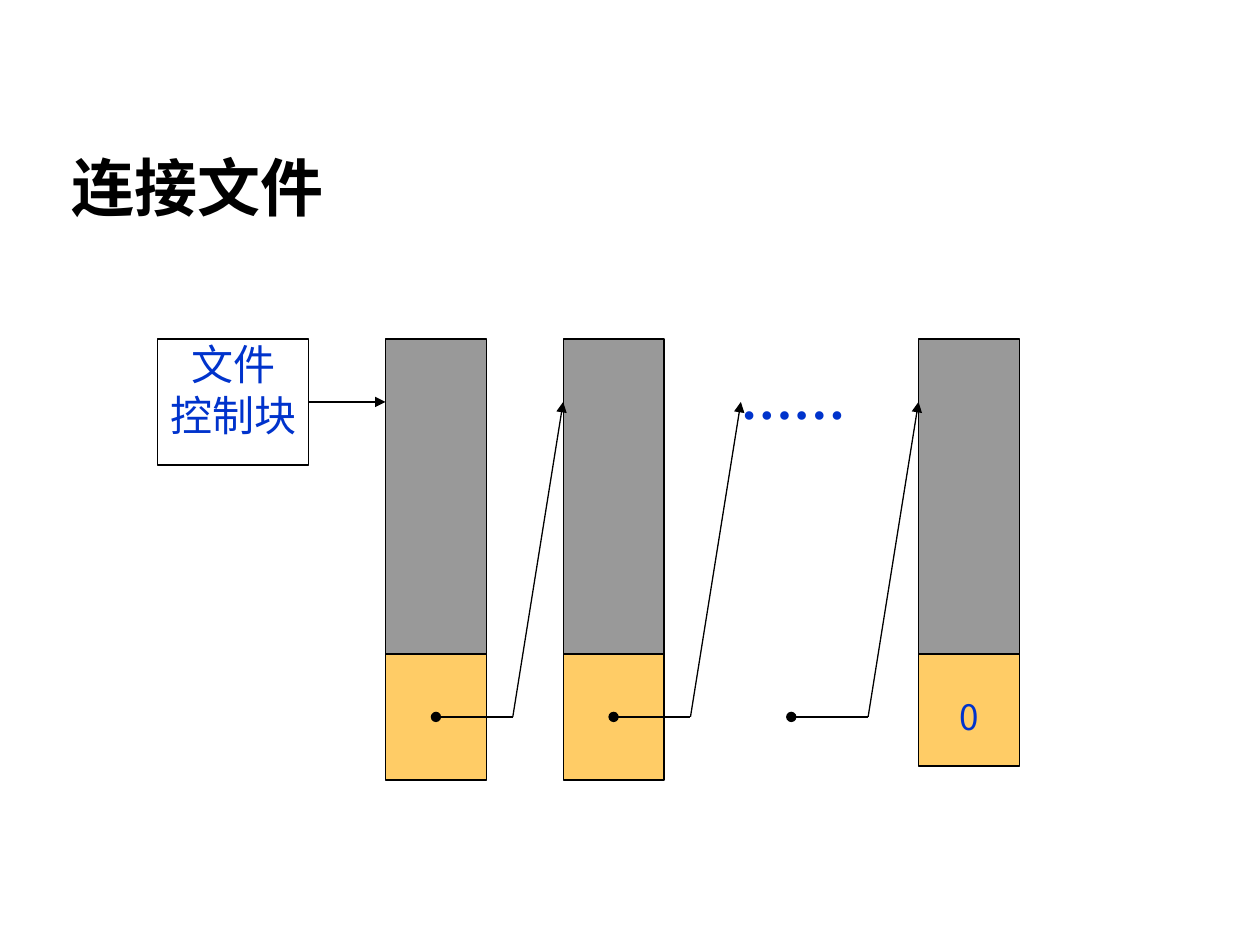
import pptx
import pptx.util
import pptx.dml.color
import pptx.enum.shapes
import pptx.enum.text
import pptx.oxml.ns
from lxml import etree

FONT = "Noto Sans CJK JP"
BLUE, GREY, GOLD, BLACK = "0033CC", "999999", "FFCC66", "000000"
LEFT, PITCH, WIDTH = 3.06, 1.41, 0.8
TOP, DATA, LINK = 2.69, 2.5, 1.0
ENTRY = TOP + 0.5
EXIT = TOP + DATA + LINK / 2
ALIGN = pptx.enum.text.PP_ALIGN
ANCHOR = pptx.enum.text.MSO_ANCHOR
inch = pptx.util.Inches


def color(code):
    return pptx.dml.color.RGBColor.from_string(code)


def column(index):
    return LEFT + PITCH * index


def write(shape, text, size, code, align, anchor, font=FONT, bold=False, pad=0):
    frame = shape.text_frame
    frame.text = text
    frame.vertical_anchor = anchor
    frame.margin_left = frame.margin_right = inch(pad)
    frame.margin_top = frame.margin_bottom = inch(pad / 2)
    for para in frame.paragraphs:
        para.alignment = align
        for run in para.runs:
            run.font.size = pptx.util.Pt(size)
            run.font.bold = bold
            run.font.color.rgb = color(code)
            run.font.name = font
            east = etree.SubElement(run._r.rPr, pptx.oxml.ns.qn("a:ea"))
            east.set("typeface", FONT)
            run.font.language_id = pptx.enum.lang.MSO_LANGUAGE_ID.SIMPLIFIED_CHINESE
    return frame


def label(slide, text, box, size, code, align, anchor, font=FONT, wrap=True):
    shape = slide.shapes.add_textbox(*map(inch, box))
    frame = write(shape, text, size, code, align, anchor, font, True, 0.1)
    frame.word_wrap = wrap


def block(slide, left, top, width, height, fill=None):
    kind = pptx.enum.shapes.MSO_SHAPE.RECTANGLE
    shape = slide.shapes.add_shape(kind, *map(inch, (left, top, width, height)))
    shape.shadow.inherit = False
    if fill:
        shape.fill.solid()
        shape.fill.fore_color.rgb = color(fill)
    else:
        shape.fill.background()
    shape.line.color.rgb = color(BLACK)
    shape.line.width = pptx.util.Pt(0.75)
    return shape


def wire(slide, start, end, tag, mark):
    """Draw a line; tag is headEnd (start) or tailEnd (end), mark its shape."""
    kind = pptx.enum.shapes.MSO_CONNECTOR.STRAIGHT
    line = slide.shapes.add_connector(kind, *map(inch, start + end))
    line.line.color.rgb = color(BLACK)
    line.line.width = pptx.util.Pt(0.75)
    qn = pptx.oxml.ns.qn
    etree.SubElement(line.line._get_or_add_ln(), qn("a:" + tag)).set("type", mark)
    etree.SubElement(line._element.spPr, qn("a:effectLst"))
    return line


def record(slide, index, link=LINK):
    """Draw a data block with its link field; return the field."""
    block(slide, column(index), TOP, WIDTH, DATA, GREY)
    return block(slide, column(index), TOP + DATA, WIDTH, link, GOLD)


def chain(slide, index):
    """Lead from one record's link field to the next record."""
    bend = (column(index) + 1.01, EXIT)
    wire(slide, (column(index) + WIDTH / 2, EXIT), bend, "headEnd", "oval")
    wire(slide, bend, (column(index + 1), ENTRY), "tailEnd", "triangle")


def main():
    deck = pptx.Presentation()
    deck.slide_width, deck.slide_height = inch(10), inch(7.5)
    slide = deck.slides.add_slide(deck.slide_layouts[6])
    label(slide, "连接文件", (0.47, 1.02, 9.3, 0.92), 36, BLACK,
          ALIGN.LEFT, ANCHOR.MIDDLE)

    control = block(slide, 1.25, TOP, 1.2, 1)
    write(control, "文件\n控制块", 24, BLUE, ALIGN.CENTER, ANCHOR.TOP)
    arrow = wire(slide, (2.45, ENTRY), (LEFT, ENTRY), "tailEnd", "triangle")
    arrow.begin_connect(control, 3)

    for index in range(2):
        record(slide, index)
    last = record(slide, 3, 0.89)
    frame = write(last, "0", 20, BLUE, ALIGN.CENTER, ANCHOR.MIDDLE)
    frame.margin_top = inch(0.1)
    for index in range(3):
        chain(slide, index)

    label(slide, "……", (5.78, 2.86, 1.04, 0.61), 30, BLUE,
          ALIGN.JUSTIFY, ANCHOR.TOP, "Times New Roman", False)
    deck.save("out.pptx")


if __name__ == "__main__":
    import pptx.enum.lang
    main()
